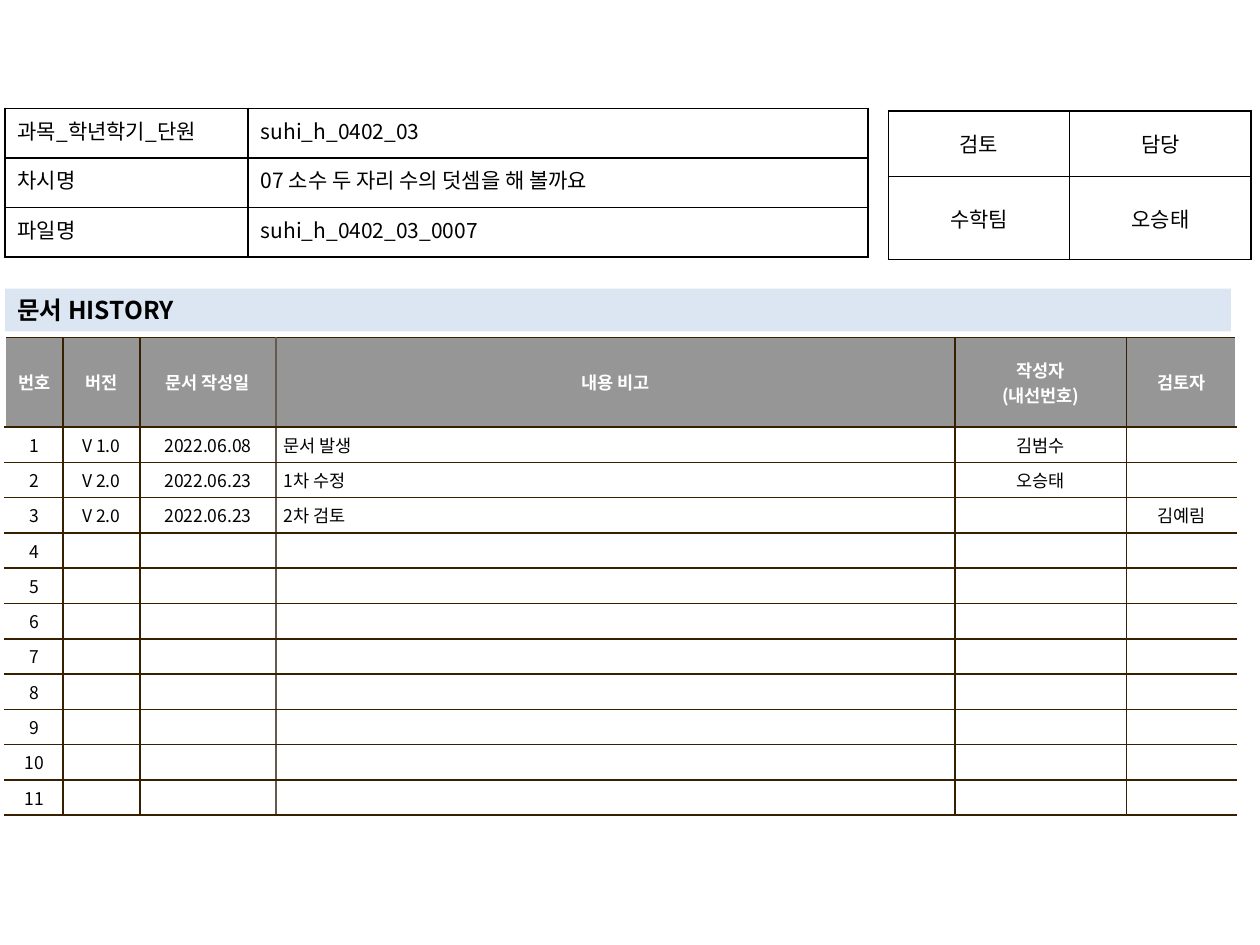
from lxml.etree import SubElement
from pptx import Presentation
from pptx.dml.color import RGBColor as RGB
from pptx.enum.shapes import MSO_SHAPE as SHAPE
from pptx.enum.text import MSO_ANCHOR as ANCHOR, PP_ALIGN as ALIGN
from pptx.oxml.ns import qn
from pptx.util import Inches, Pt

FONT = "Noto Sans CJK KR"
COLORS = {"text": "000000", "white": "FFFFFF", "header": "969696",
          "bar": "DCE6F2", "grid": "362000", "soft": "645B4C"}

prs = Presentation()
prs.slide_width, prs.slide_height = Inches(10), Inches(7.5)
W, H = prs.slide_width / 100, prs.slide_height / 100  # one percent of the slide
s = prs.slides.add_slide(prs.slide_layouts[6])


def style_text(tf, size, color="text", bold=False, align=ALIGN.LEFT):
    for p in tf.paragraphs:
        p.alignment = align
        for r in p.runs:
            r.font.size, r.font.bold, r.font.name = Pt(size), bold, FONT
            r.font.color.rgb = RGB.from_string(COLORS[color])
            SubElement(r.font._element, qn("a:ea"), typeface=FONT)
        if not p.runs:  # keeps empty rows as low as the filled ones
            SubElement(p._p, qn("a:endParaRPr"), sz=str(size * 100))


def add_grid(left, top, cols, rows, texts, size, insets, line, sides="LRTB"):
    """Table in percent of the slide; sides names the outer edges drawn."""
    table = s.shapes.add_table(
        len(rows), len(cols), int(left * W), int(top * H),
        int(sum(cols) * W), int(sum(rows) * H)).table
    table.first_row = table.horz_banding = False
    for col, width in zip(table.columns, cols):
        col.width = int(width * W)
    for row, height in zip(table.rows, rows):
        row.height = int(height * H)
    for i, row_texts in enumerate(texts):
        for j, text in enumerate(row_texts):
            cell = table.cell(i, j)
            cell.text = text
            cell.margin_left = cell.margin_right = Inches(insets[0])
            cell.margin_top = cell.margin_bottom = Inches(insets[1])
            cell.fill.background()
            style_text(cell.text_frame, size)
            # Borders go in front of the fill
            edges = [e for e in "LRTB" if e in sides
                     or (e == "L" and j > 0) or (e == "R" and j < len(cols) - 1)]
            tcPr = cell._tc.get_or_add_tcPr()
            for k, edge in enumerate(edges):
                ln = SubElement(tcPr, qn(f"a:ln{edge}"), w=str(Pt(1)))
                fill = SubElement(ln, qn("a:solidFill"))
                SubElement(fill, qn("a:srgbClr"), val=COLORS[line])
                tcPr.insert(k, ln)
    return table


# Document history
header = ["번호", "버전", "문서 작성일", "내용 비고", "작성자\n(내선번호)", "검토자"]
entries = [["V 1.0", "2022.06.08", "문서 발생", "김범수", ""],
           ["V 2.0", "2022.06.23", "1차 수정", "오승태", ""],
           ["V 2.0", "2022.06.23", "2차 검토", "", "김예림"]]
entries += [[""] * 5] * 8
texts = [header] + [[str(n), *entry] for n, entry in enumerate(entries, 1)]
history = add_grid(0.4, 35.73, [4.6, 6.1, 10.8, 53.9, 13.6, 8.7],
                   [9.47] + [3.33] * len(entries), texts, 10, (0.06, 0.04),
                   "grid", sides="TB")
for i in range(len(texts)):
    for j in range(len(header)):
        cell = history.cell(i, j)
        cell.vertical_anchor = ANCHOR.MIDDLE
        cell.fill.solid()
        cell.fill.fore_color.rgb = RGB.from_string(COLORS["white" if i else "header"])
        for p in cell.text_frame.paragraphs:
            p.alignment = ALIGN.LEFT if i and j == 3 else ALIGN.CENTER
            for r in p.runs:
                r.font.bold = i == 0
                r.font.color.rgb = RGB.from_string(COLORS["text" if i else "white"])
    # Softer line between the date and the remarks
    for j, edge in ((2, "R"), (3, "L")):
        ln = history.cell(i, j)._tc.tcPr.find(qn(f"a:ln{edge}"))
        ln.find(".//" + qn("a:srgbClr")).set("val", COLORS["soft"])

# Review and owner
review = add_grid(70.5, 11.73, [14.4, 14.4], [6.93, 8.8],
                  [["검토", "담당"], ["수학팀", "오승태"]], 12, (0.1, 0.05), "text")
for cell in review.iter_cells():
    cell.vertical_anchor = ANCHOR.MIDDLE
    cell.text_frame.paragraphs[0].alignment = ALIGN.CENTER

# Section bar
bar = s.shapes.add_shape(SHAPE.RECTANGLE, int(0.4 * W), int(30.53 * H),
                         int(97.3 * W), int(4.53 * H))
bar.shadow.inherit = False
bar.fill.solid()
bar.fill.fore_color.rgb = RGB.from_string(COLORS["bar"])
bar.line.fill.background()
tf = bar.text_frame
tf.text = "문서 HISTORY"
tf.vertical_anchor = ANCHOR.MIDDLE
style_text(tf, 14, bold=True)

# Lesson details
lesson = add_grid(0.4, 11.47, [19.3, 49.2], [5.24] * 3,
                  [["과목_학년학기_단원 ", "suhi_h_0402_03"],
                   ["차시명", "07 소수 두 자리 수의 덧셈을 해 볼까요"],
                   ["파일명", "suhi_h_0402_03_0007"]], 12, (0.1, 0.05), "text")
for i in range(3):
    lesson.cell(i, 0).text_frame.paragraphs[0].alignment = ALIGN.JUSTIFY

prs.save("out.pptx")
